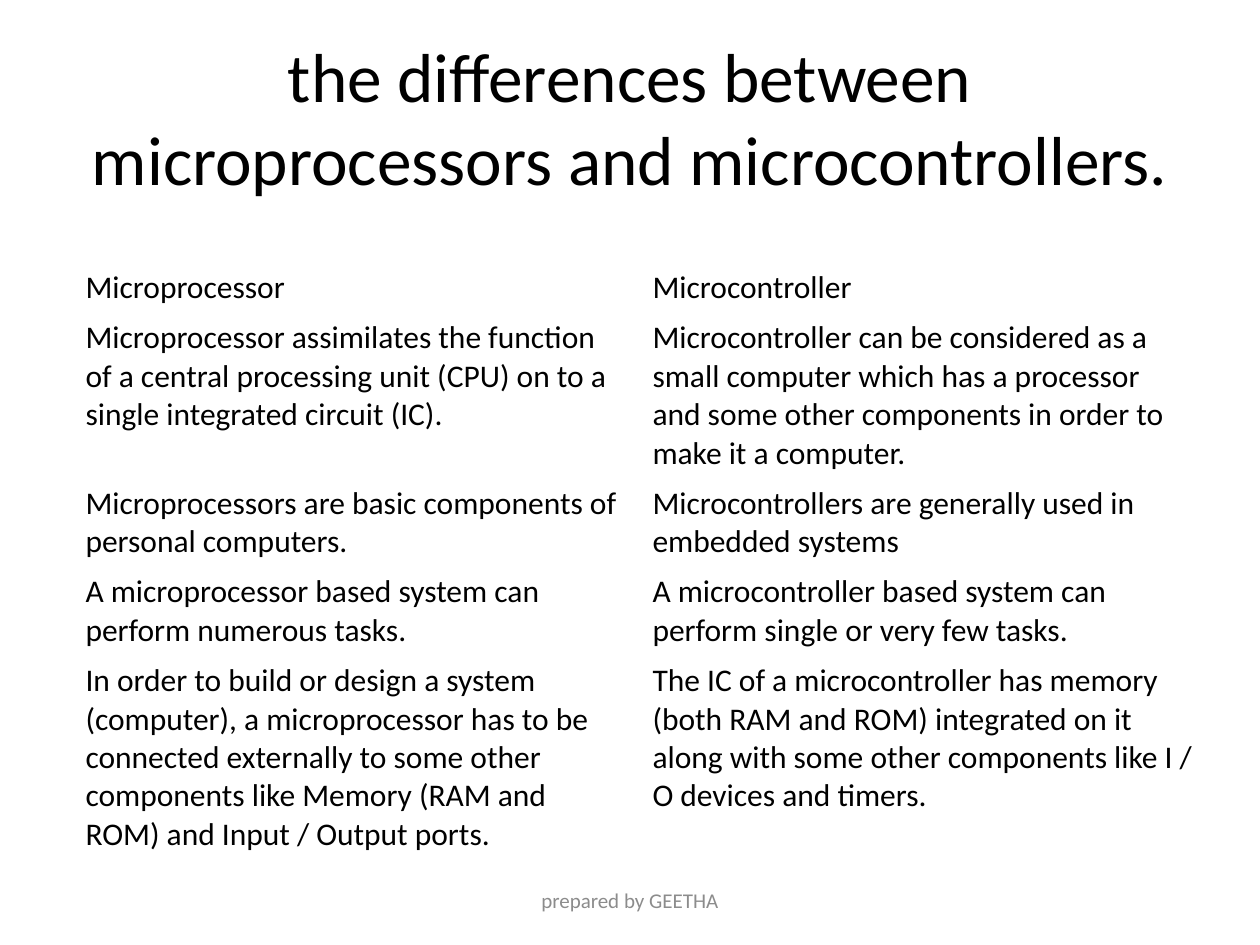
import pptx
import pptx.util
import pptx.dml.color
import pptx.enum.text
from pptx.util import Cm

BLACK = pptx.dml.color.RGBColor(0x00, 0x00, 0x00)
GRAY = pptx.dml.color.RGBColor(0x8C, 0x8C, 0x8C)

LINE_HEIGHT = 0.77
CELL_PADDING = 0.25

# Line count of the taller cell, then the two cells
ROWS = [
    (1, "Microprocessor", "Microcontroller"),
    (4, "Microprocessor assimilates the function of a central processing unit "
        "(CPU) on to a single integrated circuit (IC).",
        "Microcontroller can be considered as a small computer which has a "
        "processor and some other components in order to make it a computer."),
    (2, "Microprocessors are basic components of personal computers.",
        "Microcontrollers are generally used in embedded systems"),
    (2, "A microprocessor based system can perform numerous tasks.",
        "A microcontroller based system can perform single or very few tasks."),
    (5, "In order to build or design a system (computer), a microprocessor has "
        "to be connected externally to some other components like Memory (RAM "
        "and ROM) and Input / Output ports.",
        "The IC of a microcontroller has memory (both RAM and ROM) integrated "
        "on it along with some other components like I / O devices and timers."),
]


def style_text(para, size, color):
    para.font.name = "Calibri"
    para.font.size = pptx.util.Pt(size)
    para.font.color.rgb = color


def add_centered_text(page, text, left, top, width, height, size, color):
    box = page.shapes.add_textbox(Cm(left), Cm(top), Cm(width), Cm(height))
    frame = box.text_frame
    frame.word_wrap = True
    frame.vertical_anchor = pptx.enum.text.MSO_ANCHOR.MIDDLE
    para = frame.paragraphs[0]
    para.text = text
    para.alignment = pptx.enum.text.PP_ALIGN.CENTER
    style_text(para, size, color)


deck = pptx.Presentation()
deck.slide_width = Cm(25.4)
deck.slide_height = Cm(19.05)
page = deck.slides.add_slide(deck.slide_layouts[6])

# Title
add_centered_text(page, "the differences between microprocessors and microcontrollers.",
                  1.27, 0.76, 22.86, 3.18, 39.6, BLACK)

# Comparison table, without fills or banding
table_height = sum(row[0] * LINE_HEIGHT + CELL_PADDING for row in ROWS)
table = page.shapes.add_table(len(ROWS), 2, Cm(1.47), Cm(5.28),
                              Cm(22.86), Cm(table_height)).table
table.first_row = False
table.horz_banding = False
for row_index, (line_count, *texts) in enumerate(ROWS):
    table.rows[row_index].height = Cm(line_count * LINE_HEIGHT + CELL_PADDING)
    for column_index, text in enumerate(texts):
        cell = table.cell(row_index, column_index)
        cell.fill.background()
        cell.text = text
        style_text(cell.text_frame.paragraphs[0], 18, BLACK)

# Footer
add_centered_text(page, "prepared by GEETHA", 8.68, 17.65, 8.04, 1.01, 12, GRAY)

deck.save("out.pptx")
